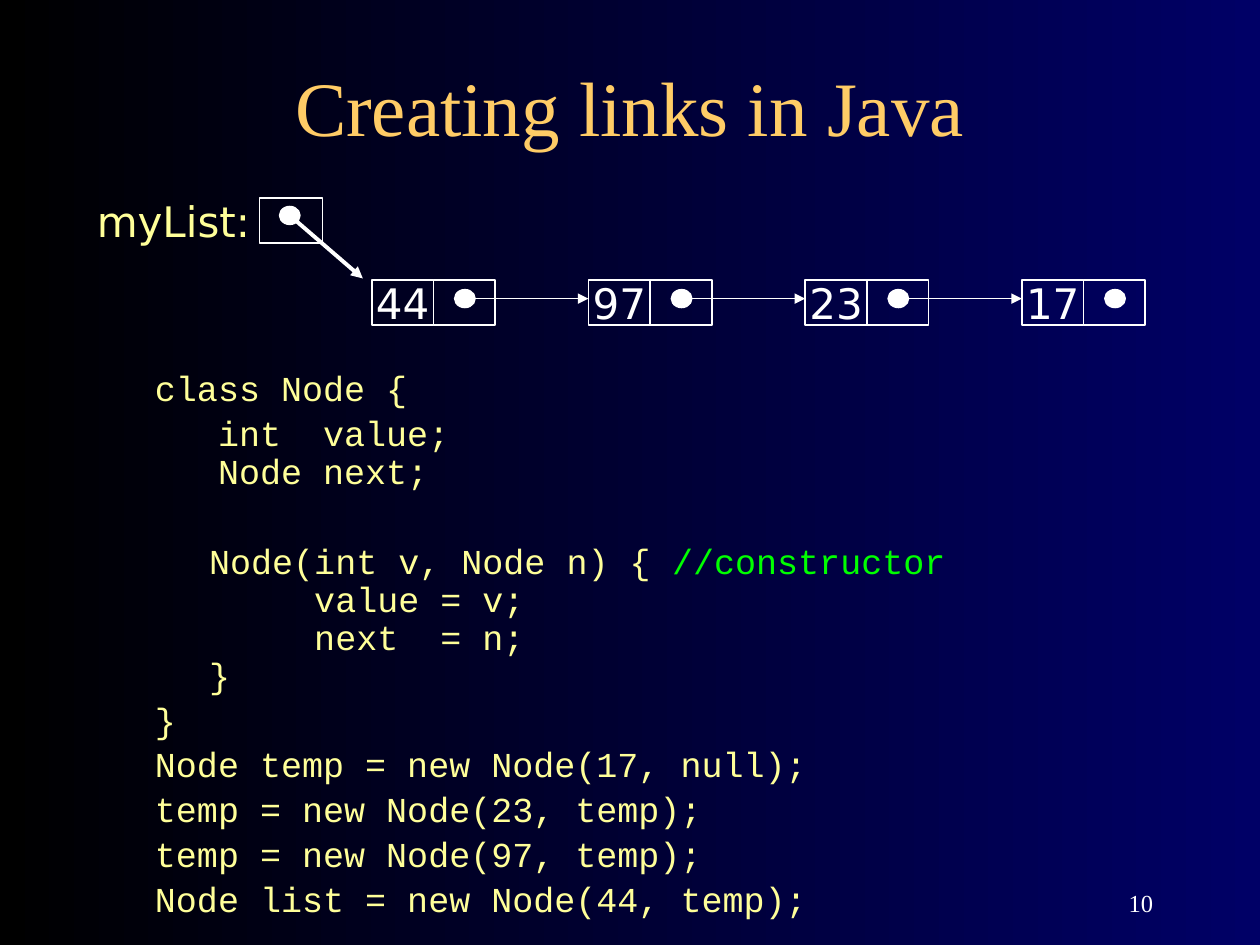
from lxml import etree
from pptx import Presentation
from pptx import util as u
from pptx.dml.color import RGBColor
from pptx.enum import shapes, text
from pptx.oxml.ns import qn

BLACK = RGBColor(0x00, 0x00, 0x00)
NAVY = RGBColor(0x00, 0x00, 0x66)
WHITE = RGBColor(0xFF, 0xFF, 0xFF)
ORANGE = RGBColor(0xFF, 0xCC, 0x66)
YELLOW = RGBColor(0xFF, 0xFF, 0x99)
GREEN = RGBColor(0x00, 0xFF, 0x00)
SERIF, SANS, MONO = "Times New Roman", "DejaVu Sans", "Courier New"

# Linked-list grid, in inches
NODE_LEFT, NODE_TOP, NODE_STEP = 2.95, 2.22, 1.72
CELL_WIDTH, CELL_HEIGHT = 0.49, 0.36
LINK_Y = 2.37
VALUES = ["44", "97", "23", "17"]

# Code paragraphs: left margin, space before in points, coloured runs
OUTER, INNER = 0.38, 0.81
CODE = [
    (OUTER, 0, [("class Node {", YELLOW)]),
    (OUTER, 4, [("   int  value;\v   Node next;", YELLOW)]),
    (INNER, 30, [("Node(int v, Node n) { ", YELLOW),
                 ("//constructor\v", GREEN),
                 ("     value = v;\v     next  = n;\v}", YELLOW)]),
    (OUTER, 4, [("}", YELLOW)]),
    (OUTER, 4, [("Node temp = new Node(17, null);", YELLOW)]),
    (OUTER, 4, [("temp = new Node(23, temp);", YELLOW)]),
    (OUTER, 4, [("temp = new Node(97, temp);", YELLOW)]),
    (OUTER, 4, [("Node list = new Node(44, temp);", YELLOW)]),
]


def inches(*lengths):
    return [u.Inches(length) for length in lengths]


def place(shape, *box):
    shape.left, shape.top, shape.width, shape.height = inches(*box)


def style(font, name, size, color):
    font.name, font.size, font.color.rgb = name, u.Pt(size), color


def set_background(slide):
    fill = slide.background.fill
    fill.gradient()
    fill.gradient_angle = 0
    for stop, color, position in zip(fill.gradient_stops, (BLACK, NAVY), (0, 1)):
        stop.color.rgb, stop.position = color, position


def add_title(slide, wording):
    title = slide.shapes.title
    place(title, 0.75, 0.42, 8.5, 0.83)
    title.text_frame.vertical_anchor = text.MSO_ANCHOR.MIDDLE
    title.text_frame.auto_size = text.MSO_AUTO_SIZE.NONE
    paragraph = title.text_frame.paragraphs[0]
    paragraph.text = wording
    paragraph.alignment = text.PP_ALIGN.CENTER
    style(paragraph.font, SERIF, 44, ORANGE)


def add_code(slide):
    body = slide.placeholders[1]
    place(body, 0.75, 2.9, 8.5, 4.52)
    frame = body.text_frame
    frame.auto_size = text.MSO_AUTO_SIZE.NONE
    for index, (margin, before, runs) in enumerate(CODE):
        paragraph = frame.add_paragraph() if index else frame.paragraphs[0]
        paragraph.level = 1 if margin == INNER else 0
        properties = paragraph._p.get_or_add_pPr()
        properties.set("marL", str(u.Inches(margin)))
        properties.set("indent", "0")
        etree.SubElement(properties, qn("a:buNone"))
        paragraph.line_spacing = 0.9
        paragraph.space_before = u.Pt(before)
        for wording, color in runs:
            # A vertical tab marks a line break inside the paragraph
            for number, line in enumerate(wording.split("\v")):
                if number:
                    paragraph.add_line_break()
                if line:
                    run = paragraph.add_run()
                    run.text = line
                    run.font.color.rgb = color
        paragraph.font.name, paragraph.font.size = MONO, u.Pt(20)


def add_outline(slide, kind, *box):
    shape = slide.shapes.add_shape(kind, *inches(*box))
    shape.shadow.inherit = False
    shape.fill.background()
    shape.line.color.rgb, shape.line.width = WHITE, u.Pt(1)
    return shape


def add_cell(slide, left, top, width, value=None):
    cell = add_outline(slide, shapes.MSO_SHAPE.RECTANGLE, left, top, width, CELL_HEIGHT)
    if value:
        frame = cell.text_frame
        frame.word_wrap = False
        frame.vertical_anchor = text.MSO_ANCHOR.MIDDLE
        paragraph = frame.paragraphs[0]
        paragraph.text = value
        paragraph.alignment = text.PP_ALIGN.CENTER
        style(paragraph.font, SANS, 24, WHITE)


def add_dot(slide, left, top):
    dot = add_outline(slide, shapes.MSO_SHAPE.OVAL, left, top, 0.16, 0.14)
    dot.fill.solid()
    dot.fill.fore_color.rgb = WHITE


def add_arrow(slide, start, end, width):
    arrow = slide.shapes.add_connector(
        shapes.MSO_CONNECTOR.STRAIGHT, *inches(*start, *end))
    arrow.line.color.rgb, arrow.line.width = WHITE, u.Pt(width)
    etree.SubElement(arrow.line._get_or_add_ln(), qn("a:tailEnd"), type="triangle")
    etree.SubElement(arrow._element.spPr, qn("a:effectLst"))


def add_list(slide):
    for index, value in enumerate(VALUES):
        left = NODE_LEFT + index * NODE_STEP
        add_cell(slide, left, NODE_TOP, CELL_WIDTH, value)
        add_cell(slide, left + CELL_WIDTH, NODE_TOP, CELL_WIDTH)
        add_dot(slide, left + 0.66, LINK_Y - 0.07)
        if index < len(VALUES) - 1:
            add_arrow(slide, (left + 0.74, LINK_Y), (left + NODE_STEP, LINK_Y), 1)


def add_text_box(slide, *box):
    text_box = slide.shapes.add_textbox(*inches(*box))
    text_box.text_frame.word_wrap = True
    return text_box.text_frame


def add_head(slide):
    add_dot(slide, 2.22, 1.64)
    add_cell(slide, 2.06, 1.57, 0.5)
    add_arrow(slide, (2.3, 1.71), (2.88, 2.21), 2.25)
    paragraph = add_text_box(slide, 0.67, 1.5, 1.8, 0.43).paragraphs[0]
    paragraph.text = "myList:"
    style(paragraph.font, SANS, 24, YELLOW)


def add_slide_number(slide, number):
    frame = add_text_box(slide, 7.17, 6.83, 2.08, 0.5)
    frame.vertical_anchor = text.MSO_ANCHOR.BOTTOM
    paragraph = frame.paragraphs[0]
    paragraph.text = number
    paragraph.alignment = text.PP_ALIGN.RIGHT
    style(paragraph.font, SERIF, 14, WHITE)


def main():
    presentation = Presentation()
    presentation.slide_width, presentation.slide_height = inches(10, 7.5)
    slide = presentation.slides.add_slide(presentation.slide_layouts[1])
    set_background(slide)
    add_slide_number(slide, "10")
    add_title(slide, "Creating links in Java")
    add_code(slide)
    add_list(slide)
    add_head(slide)
    presentation.save("out.pptx")


if __name__ == "__main__":
    main()
